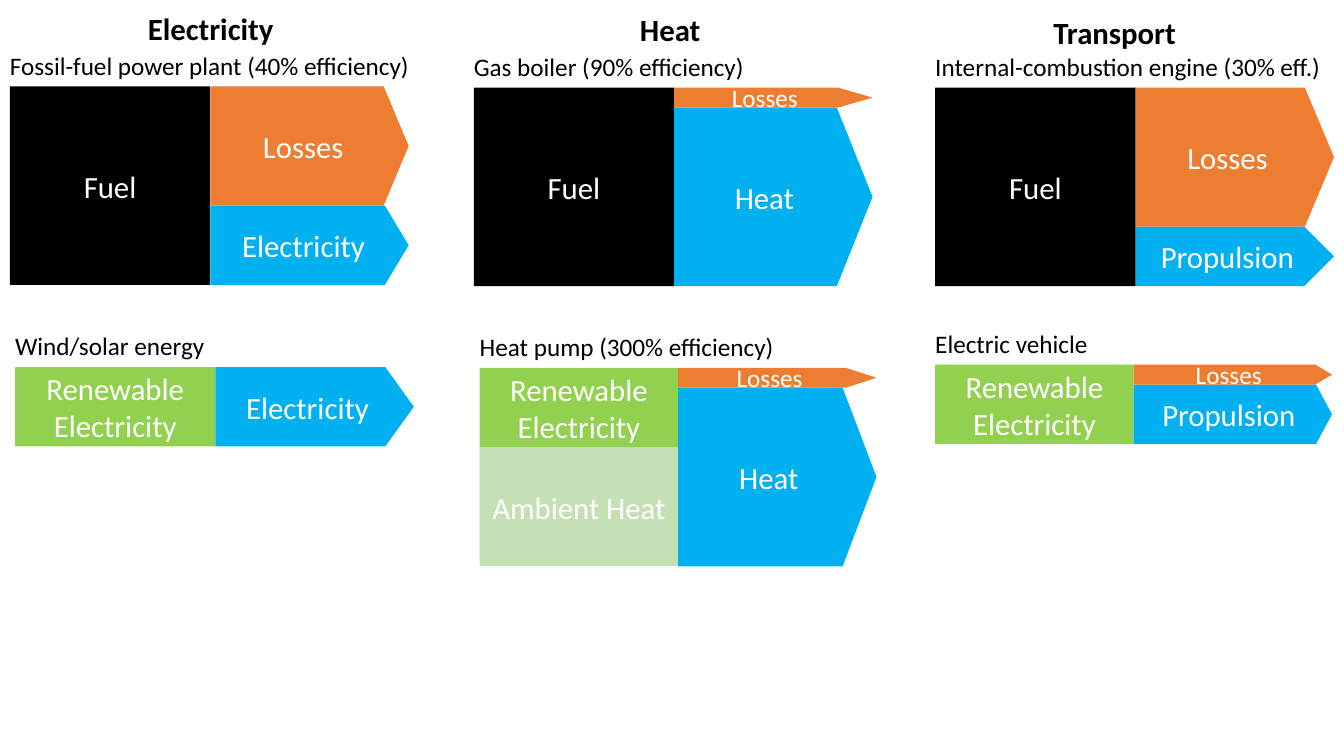
"""Compare fossil and renewable energy flows for three sectors on one slide."""
from dataclasses import dataclass

from pptx import Presentation
from pptx.dml.color import RGBColor
from pptx.enum.shapes import MSO_SHAPE
from pptx.enum.text import MSO_ANCHOR, PP_ALIGN
from pptx.util import Cm, Pt

BLACK = RGBColor(0x00, 0x00, 0x00)
WHITE = RGBColor(0xFF, 0xFF, 0xFF)
BLUE = RGBColor(0x00, 0xB0, 0xF0)
ORANGE = RGBColor(0xED, 0x7D, 0x31)
GREEN = RGBColor(0x92, 0xD0, 0x50)
PALE = RGBColor(0xC5, 0xE0, 0xB4)

FONT = "Calibri"
LARGE, SMALL = 22, 18
ARROW = 5.0
LABEL = 10.92


@dataclass
class Part:
    text: str
    fill: RGBColor
    height: float
    point: float = 0


@dataclass
class Flow:
    title: str
    left: float
    top: float
    width: float
    inputs: list[Part]
    outputs: list[Part]


@dataclass
class Heading:
    text: str
    left: float
    top: float


FUEL = Part("Fuel", BLACK, 5)
POWER = Part("Renewable Electricity", GREEN, 2)

HEADINGS = [
    Heading("Electricity", -0.15, 0.13),
    Heading("Heat", 11.43, 0.15),
    Heading("Transport", 22.63, 0.23),
]

FLOWS = [
    Flow("Fossil-fuel power plant (40% efficiency)", 0.25, 2.18, 5.05, [FUEL],
         [Part("Losses", ORANGE, 3, 0.21), Part("Electricity", BLUE, 2, 0.3)]),
    Flow("Wind/solar energy", 0.38, 9.25, 5.05, [POWER],
         [Part("Electricity", BLUE, 2, 0.36)]),
    Flow("Gas boiler (90% efficiency)", 11.94, 2.21, 5.05, [FUEL],
         [Part("Losses", ORANGE, 0.5, 1.72), Part("Heat", BLUE, 4.5, 0.2)]),
    Flow("Heat pump (300% efficiency)", 12.09, 9.27, 5,
         [POWER, Part("Ambient Heat", PALE, 3)],
         [Part("Losses", ORANGE, 0.5, 1.55), Part("Heat", BLUE, 4.5, 0.19)]),
    Flow("Internal-combustion engine (30% eff.)", 23.57, 2.21, 5.05, [FUEL],
         [Part("Losses", ORANGE, 3.5, 0.21), Part("Propulsion", BLUE, 1.5, 0.5)]),
    Flow("Electric vehicle", 23.57, 9.19, 5, [POWER],
         [Part("Losses", ORANGE, 0.5, 0.84), Part("Propulsion", BLUE, 1.5, 0.27)]),
]


def write(shape, text: str, size: int, color: RGBColor, align, bold: bool = False) -> None:
    """Fill a shape with one styled paragraph."""
    frame = shape.text_frame
    frame.word_wrap = True
    frame.text = text
    line = frame.paragraphs[0]
    line.alignment = align
    font = line.runs[0].font
    font.name, font.size, font.bold = FONT, Pt(size), bold
    font.color.rgb = color


def add_label(slide, text: str, left: float, top: float, height: float,
              size: int, align, bold: bool = False) -> None:
    """Add a black text label."""
    box = slide.shapes.add_textbox(Cm(left), Cm(top), Cm(LABEL), Cm(height))
    write(box, text, size, BLACK, align, bold)


def add_part(slide, part: Part, left: float, top: float, width: float) -> None:
    """Add a block, or an arrow when the part has a point."""
    kind = MSO_SHAPE.PENTAGON if part.point else MSO_SHAPE.RECTANGLE
    shape = slide.shapes.add_shape(kind, Cm(left), Cm(top), Cm(width), Cm(part.height))
    if part.point:
        shape.adjustments[0] = part.point
    shape.shadow.inherit = False
    shape.fill.solid()
    shape.fill.fore_color.rgb = part.fill
    shape.line.fill.background()
    shape.text_frame.vertical_anchor = MSO_ANCHOR.MIDDLE
    size = SMALL if part.height < 1 else LARGE
    write(shape, part.text, size, WHITE, PP_ALIGN.CENTER)


def add_stack(slide, parts: list[Part], left: float, top: float, width: float) -> None:
    """Stack parts downwards, drawing the lowest first."""
    base = top + sum(part.height for part in parts)
    for part in reversed(parts):
        base -= part.height
        add_part(slide, part, left, base, width)


def add_flow(slide, flow: Flow) -> None:
    """Add a caption with its inputs and outputs."""
    add_label(slide, flow.title, flow.left - 0.25, flow.top - 1.04, 1.03,
              SMALL, PP_ALIGN.LEFT)
    add_stack(slide, flow.inputs, flow.left, flow.top, flow.width)
    add_stack(slide, flow.outputs, flow.left + flow.width, flow.top, ARROW)


def main() -> None:
    """Build and save the slide."""
    deck = Presentation()
    deck.slide_width, deck.slide_height = Cm(33.87), Cm(19.05)
    slide = deck.slides.add_slide(deck.slide_layouts[6])
    for flow in FLOWS:
        add_flow(slide, flow)
    for head in HEADINGS:
        add_label(slide, head.text, head.left, head.top, 1.2,
                  LARGE, PP_ALIGN.CENTER, True)
    deck.save("out.pptx")


if __name__ == "__main__":
    main()
